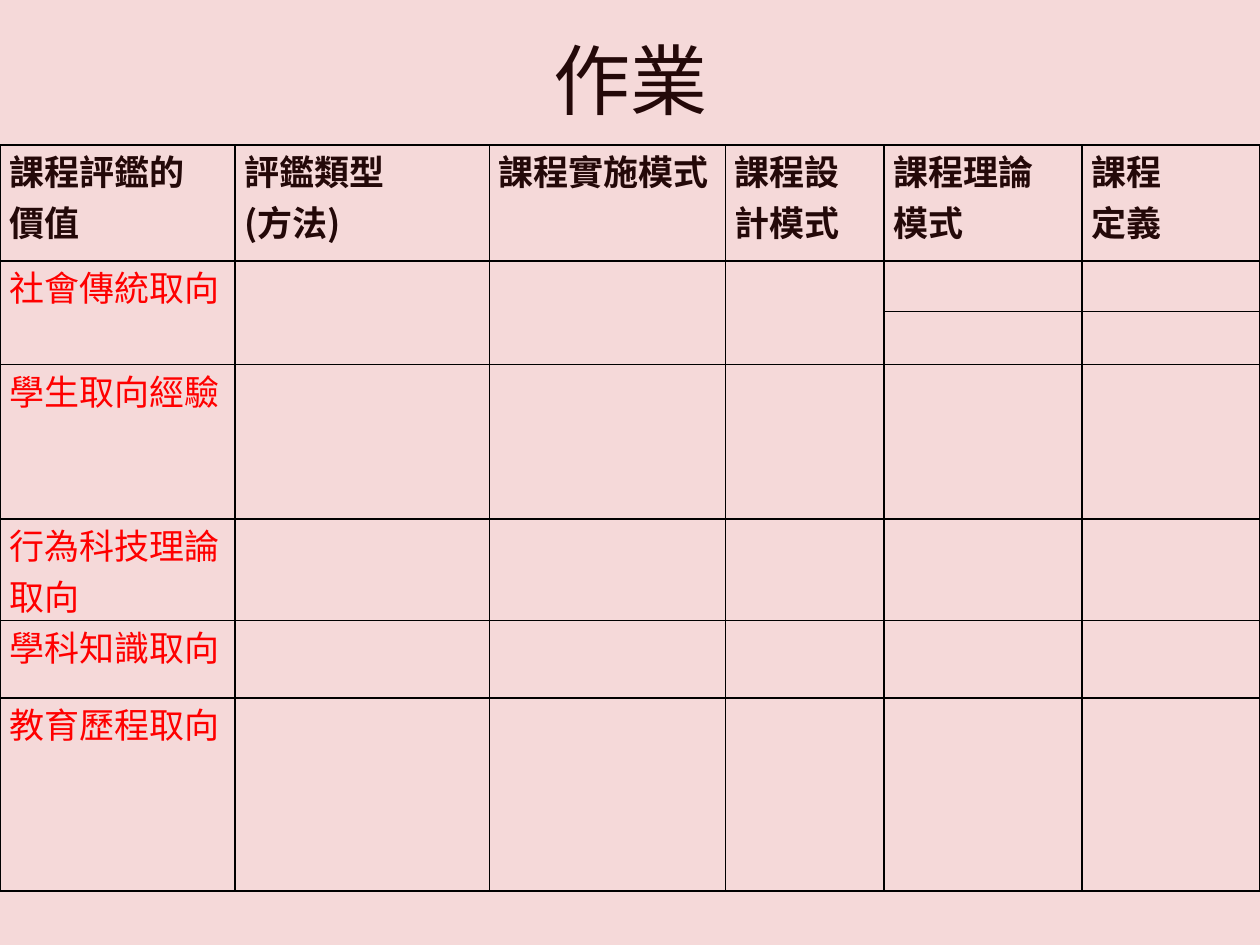
from lxml import etree
from pptx import Presentation
from pptx.dml.color import RGBColor
from pptx.enum import text
from pptx.oxml import ns
from pptx.util import Pt

TITLE = "作業"
HEADERS = ["課程評鑑的\n價值", "評鑑類型\n(方法)", "課程實施模式",
           "課程設計模式", "課程理論\n模式", "課程\n定義"]
ORIENTATIONS = {1: "社會傳統取向", 3: "學生取向經驗", 4: "行為科技理論取向",
                5: "學科知識取向", 6: "教育歷程取向"}
COLUMN_WIDTHS = [134.4, 145.2, 135, 90.6, 113.2, 101.6]
ROW_HEIGHTS = [66.5, 28.8, 30.2, 88.4, 57.8, 44.4, 110.2]
SPLIT_ROWS = (1, 2)
MERGED_COLUMNS = range(4)
BACKGROUND, DARK, RED, BLACK = "F5D9D9", "240909", "FF0000", "000000"
CELL_FORMAT = {"margin_left": Pt(5.4), "margin_right": Pt(5.4),
               "margin_top": 0, "margin_bottom": 0}
HEADER_FONT = {"name": "Noto Sans CJK SC", "size": Pt(20), "bold": True}
ORIENTATION_FONT = {**HEADER_FONT, "bold": False}
TITLE_FONT = {"name": "Calibri", "size": Pt(44)}


def rgb(color):
    return RGBColor.from_string(color)


def apply(target, values):
    for key, value in values.items():
        setattr(target, key, value)


def write(frame, content, font, color):
    frame.text = content
    for paragraph in frame.paragraphs:
        for run in paragraph.runs:
            apply(run.font, font)
            run.font.color.rgb = rgb(color)
            if font["name"].startswith("Noto"):
                east_asian = etree.SubElement(run.font._element, ns.qn("a:ea"))
                east_asian.set("typeface", font["name"])


def add_borders(cell):
    properties = cell._tc.get_or_add_tcPr()
    for side in ("lnL", "lnR", "lnT", "lnB"):
        line = etree.SubElement(properties, ns.qn(f"a:{side}"), w=str(Pt(1)))
        fill = etree.SubElement(line, ns.qn("a:solidFill"))
        etree.SubElement(fill, ns.qn("a:srgbClr"), val=BLACK)


def add_title(slide):
    frame = slide.shapes.add_textbox(Pt(36.5), 0, Pt(648), Pt(90)).text_frame
    apply(frame, {"word_wrap": True, "vertical_anchor": text.MSO_ANCHOR.MIDDLE})
    write(frame, TITLE, TITLE_FONT, DARK)
    frame.paragraphs[0].alignment = text.PP_ALIGN.CENTER


def add_assignment_table(slide):
    table = slide.shapes.add_table(
        len(ROW_HEIGHTS), len(COLUMN_WIDTHS), 0, Pt(82.8),
        Pt(sum(COLUMN_WIDTHS)), Pt(sum(ROW_HEIGHTS))).table
    apply(table, {"first_row": False, "horz_banding": False})
    for column, width in zip(table.columns, COLUMN_WIDTHS):
        column.width = Pt(width)
    for row, height in zip(table.rows, ROW_HEIGHTS):
        row.height = Pt(height)
    for cell in table.iter_cells():
        apply(cell, CELL_FORMAT)
        add_borders(cell)
        cell.fill.background()
    first, last = SPLIT_ROWS
    for column in MERGED_COLUMNS:
        table.cell(first, column).merge(table.cell(last, column))
    for column, header in enumerate(HEADERS):
        write(table.cell(0, column).text_frame, header, HEADER_FONT, DARK)
    for row, orientation in ORIENTATIONS.items():
        write(table.cell(row, 0).text_frame, orientation, ORIENTATION_FONT, RED)


def main():
    deck = Presentation()
    apply(deck, {"slide_width": Pt(720), "slide_height": Pt(540)})
    slide = deck.slides.add_slide(deck.slide_layouts[6])
    slide.background.fill.solid()
    slide.background.fill.fore_color.rgb = rgb(BACKGROUND)
    add_title(slide)
    add_assignment_table(slide)
    deck.save("out.pptx")


if __name__ == "__main__":
    main()
